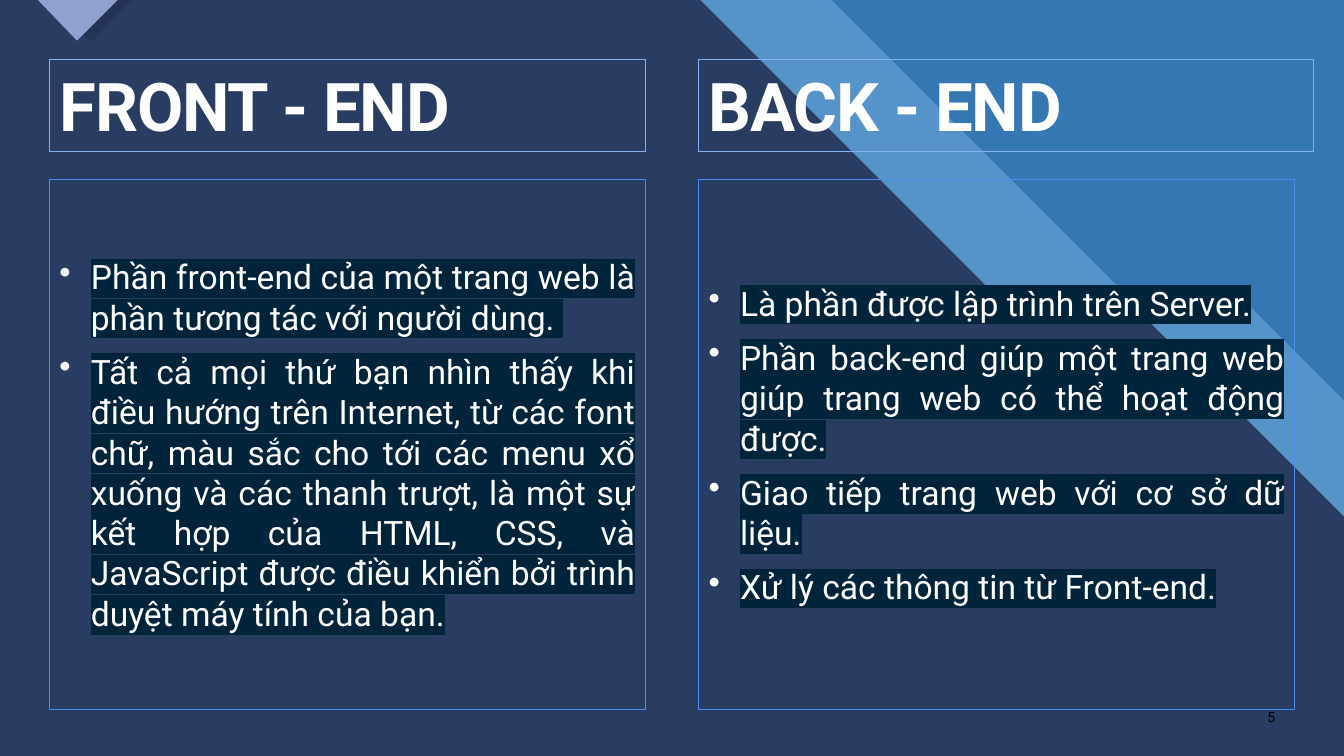
import pptx
import pptx.dml.color
import pptx.enum.text
import pptx.oxml.ns
import pptx.util
from dataclasses import dataclass
from lxml import etree

Pt = pptx.util.Pt
RGB = pptx.dml.color.RGBColor.from_string
qn = pptx.oxml.ns.qn


@dataclass(frozen=True)
class Theme:
    font: str = "Roboto"
    background: str = "3477B2"
    band: str = "629DD1"
    dark: str = "253356"
    corner: str = "90A2CF"
    text: str = "FFFFFF"
    highlight: str = "00243A"
    title_line: str = "85B2F6"
    body_line: str = "4A8EF2"
    number: str = "000000"
    title_size: int = 48
    body_size: int = 24
    number_size: int = 10


theme = Theme()


def add_polygon(slide, points, color, opacity=100):
    builder = slide.shapes.build_freeform(*points[0], scale=Pt(1))
    builder.add_line_segments(points[1:], close=True)
    shape = builder.convert_to_shape()
    shape.shadow.inherit = False
    shape.line.fill.background()
    shape.fill.solid()
    shape.fill.fore_color.rgb = RGB(color)
    if opacity < 100:
        color_element = shape.fill._xPr.find(qn("a:solidFill"))[0]
        etree.SubElement(color_element, qn("a:alpha"), val=str(opacity * 1000))


def add_text(slide, left, top, width, height, paragraphs, size, color, line=None):
    shape = slide.shapes.add_textbox(Pt(left), Pt(top), Pt(width), Pt(height))
    if line:
        shape.line.color.rgb = RGB(line)
        shape.line.width = Pt(0.75)
    frame = shape.text_frame
    frame.word_wrap = True
    frame.text = "\n".join(paragraphs)
    for paragraph in frame.paragraphs:
        paragraph.font.name = theme.font
        paragraph.font.size = Pt(size)
        paragraph.font.color.rgb = RGB(color)
    return frame


presentation = pptx.Presentation()
presentation.slide_width = Pt(960)
presentation.slide_height = Pt(540)
slide = presentation.slides.add_slide(presentation.slide_layouts[6])

# Background: blue base, lighter diagonal band, dark field
slide.background.fill.solid()
slide.background.fill.fore_color.rgb = RGB(theme.background)
add_polygon(slide, [(0, 0), (594, 0), (808, 214), (888, 214), (960, 286),
                    (960, 540), (0, 540)], theme.band, 74)
add_polygon(slide, [(0, 0), (500, 0), (714, 214), (805, 214), (960, 369),
                    (960, 540), (0, 540)], theme.dark, 90)

# Corner triangle with its shade
add_polygon(slide, [(34.6, 0), (94.3, 0), (64.8, 29.5)], theme.dark)
add_polygon(slide, [(26.6, 0), (84.2, 0), (55.4, 28.8)], theme.corner)

# Two columns: left, title width, title, points
columns = [
    (35.3, 425.5, "FRONT - END", [
        "Phần front-end của một trang web là phần tương tác với người dùng. ",
        "Tất cả mọi thứ bạn nhìn thấy khi điều hướng trên Internet, từ các font "
        "chữ, màu sắc cho tới các menu xổ xuống và các thanh trượt, là một sự "
        "kết hợp của HTML, CSS, và JavaScript được điều khiển bởi trình duyệt "
        "máy tính của bạn.",
    ]),
    (499, 439.2, "BACK - END", [
        "Là phần được lập trình trên Server.",
        "Phần back-end giúp một trang web giúp trang web có thể hoạt động được.",
        "Giao tiếp trang web với cơ sở dữ liệu.",
        "Xử lý các thông tin từ Front-end.",
    ]),
]
for left, title_width, title, points in columns:
    heading = add_text(slide, left, 42.5, title_width, 65.5, [title],
                       theme.title_size, theme.text, theme.title_line)
    heading.paragraphs[0].font.bold = True
    heading.paragraphs[0].runs[0].font._element.set("spc", "-70")

    body = add_text(slide, left, 128.2, 425.5, 378.7, points,
                    theme.body_size, theme.text, theme.body_line)
    body.vertical_anchor = pptx.enum.text.MSO_ANCHOR.MIDDLE
    for paragraph in body.paragraphs:
        paragraph.alignment = pptx.enum.text.PP_ALIGN.JUSTIFY
        paragraph.space_before = Pt(6)
        paragraph.space_after = Pt(4)

        # White bullet with a hanging indent
        properties = paragraph._p.get_or_add_pPr()
        properties.set("marL", str(Pt(22.5)))
        properties.set("indent", str(Pt(-22.5)))
        bullet_color = etree.Element(qn("a:buClr"))
        etree.SubElement(bullet_color, qn("a:srgbClr"), val=theme.text)
        bullet = etree.Element(qn("a:buChar"), char="•")
        defaults = properties.find(qn("a:defRPr"))
        defaults.addprevious(bullet_color)
        defaults.addprevious(bullet)

        # Dark highlight behind the words
        run_properties = paragraph.runs[0].font._element
        highlight = etree.SubElement(run_properties, qn("a:highlight"))
        etree.SubElement(highlight, qn("a:srgbClr"), val=theme.highlight)

# Slide number
number = add_text(slide, 886.3, 497.5, 31.7, 28.8, ["5"],
                  theme.number_size, theme.number)
number.vertical_anchor = pptx.enum.text.MSO_ANCHOR.MIDDLE
number.paragraphs[0].alignment = pptx.enum.text.PP_ALIGN.RIGHT

presentation.save("out.pptx")
